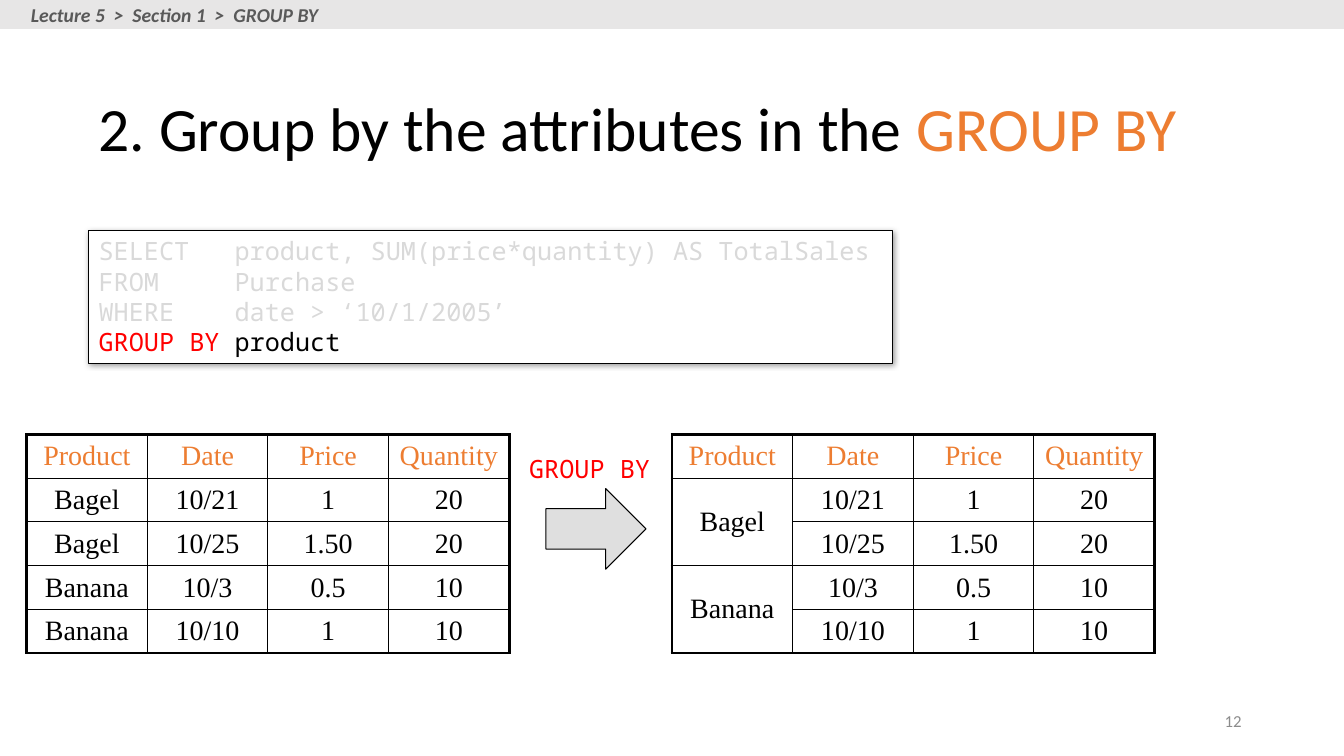
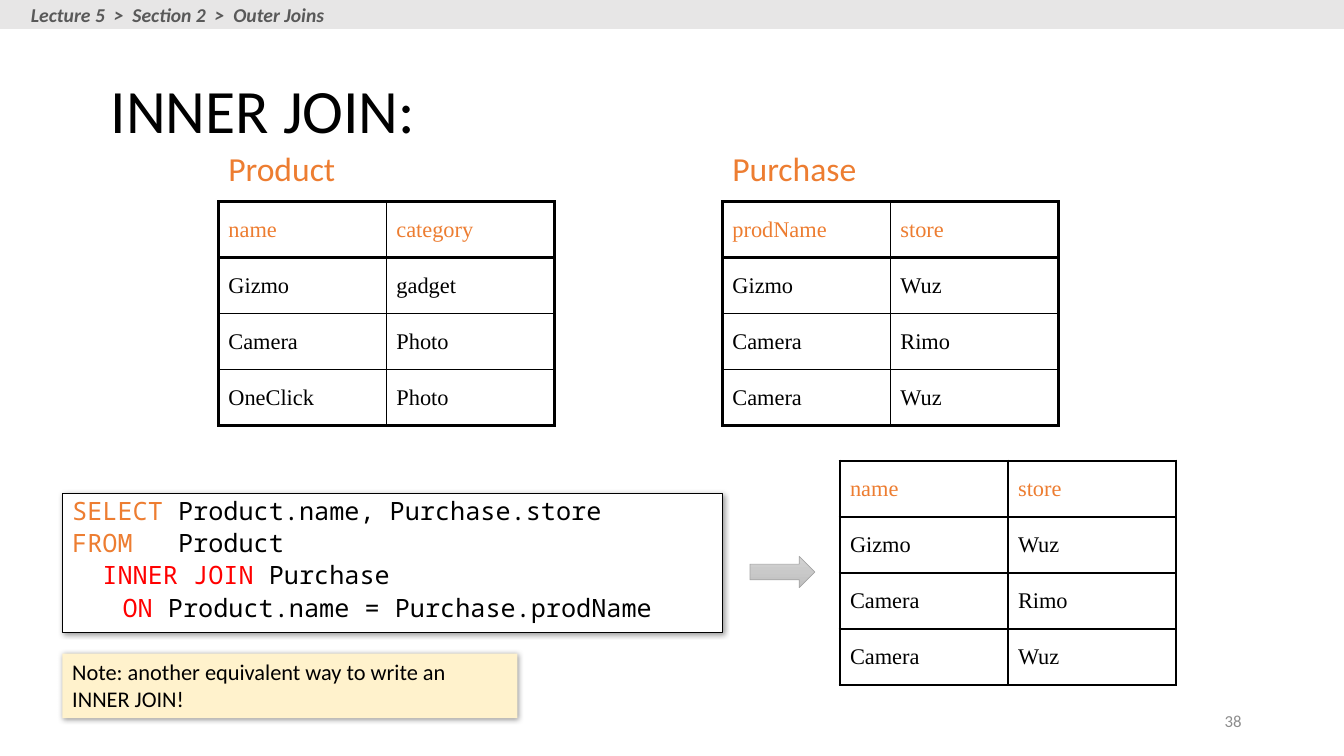
"""Build two lecture slides on SQL grouping and inner joins."""
from dataclasses import dataclass
from typing import Optional

from lxml.etree import SubElement
from pptx import Presentation
from pptx.dml.color import RGBColor
from pptx.enum.shapes import MSO_SHAPE as Preset
from pptx.enum.text import MSO_ANCHOR as Anchor, PP_ALIGN as Align
from pptx.oxml.ns import qn
from pptx.util import Pt


@dataclass(frozen=True)
class Theme:
    black: str = "000000"
    white: str = "FFFFFF"
    accent: str = "ED7D31"
    keyword: str = "FF0000"
    faded: str = "D9D9D9"
    band: str = "E7E6E6"
    crumb: str = "595959"
    number: str = "8C8C8C"
    note: str = "FFF2CC"
    arrow: str = "C0C0C0"
    arrow_light: str = "D2D2D2"
    arrow_line: str = "A5A5A5"
    sans: str = "Calibri"
    mono: str = "Noto Sans Mono"
    serif: str = "Times New Roman"
    title_size: float = 44
    label_size: float = 24
    code_size: float = 18
    note_size: float = 16
    crumb_size: float = 14
    number_size: float = 12
    thin: float = 1
    heavy: float = 2.25
    outline: float = 0.75


THEME = Theme()
WIDTH, HEIGHT = 960, 540


@dataclass(frozen=True)
class Area:
    left: float
    top: float
    width: float
    height: float

    def lengths(self) -> tuple:
        return Pt(self.left), Pt(self.top), Pt(self.width), Pt(self.height)


@dataclass(frozen=True)
class Span:
    text: str
    color: str = THEME.black


@dataclass(frozen=True)
class Style:
    font: str
    size: float
    bold: bool = False
    align: Align = Align.LEFT
    anchor: Anchor = Anchor.TOP
    wrap: bool = True
    line_spacing: Optional[float] = None
    space_before: float = 0


@dataclass(frozen=True)
class Grid:
    left: float
    top: float
    column_width: float
    row_height: float
    rows: tuple
    size: float = 16
    align: Align = Align.LEFT
    header_rule: float = THEME.heavy
    bottom_rule: float = THEME.heavy
    merges: tuple = ()


TITLE = Style(THEME.sans, THEME.title_size, anchor=Anchor.MIDDLE, line_spacing=0.9)
CRUMB = Style(THEME.sans, THEME.crumb_size, bold=True, wrap=False)
NUMBER = Style(THEME.sans, THEME.number_size, align=Align.RIGHT, anchor=Anchor.MIDDLE)
LABEL = Style(THEME.sans, THEME.label_size, wrap=False)
NOTE = Style(THEME.sans, THEME.note_size)
CODE = Style(THEME.mono, THEME.code_size)
CODE_LABEL = Style(THEME.mono, THEME.code_size, wrap=False)
SPACED_CODE = Style(THEME.mono, THEME.code_size, wrap=False, line_spacing=0.9, space_before=3.6)


def rgb(color: str) -> RGBColor:
    return RGBColor.from_string(color)


def write(shape, lines: tuple, style: Style) -> None:
    frame = shape.text_frame
    frame.word_wrap = style.wrap
    frame.vertical_anchor = style.anchor
    for index, spans in enumerate(lines):
        para = frame.add_paragraph() if index else frame.paragraphs[0]
        para.alignment = style.align
        if style.line_spacing:
            para.line_spacing = style.line_spacing
        if index and style.space_before:
            para.space_before = Pt(style.space_before)
        for span in spans:
            run = para.add_run()
            run.text = span.text
            run.font.name = style.font
            run.font.size = Pt(style.size)
            run.font.bold = run.font.italic = style.bold
            run.font.color.rgb = rgb(span.color)


def add_text(page, area: Area, lines: tuple, style: Style) -> None:
    write(page.shapes.add_textbox(*area.lengths()), lines, style)


def add_block(page, area: Area, fill: str, line: Optional[str] = None,
              preset: Preset = Preset.RECTANGLE, line_width: float = THEME.outline):
    shape = page.shapes.add_shape(preset, *area.lengths())
    shape.shadow.inherit = False
    shape.fill.solid()
    shape.fill.fore_color.rgb = rgb(fill)
    if line:
        shape.line.color.rgb = rgb(line)
        shape.line.width = Pt(line_width)
    else:
        shape.line.fill.background()
    return shape


def add_shadow(shape) -> None:
    effects = shape._element.spPr.find(qn("a:effectLst"))
    shadow = SubElement(effects, qn("a:outerShdw"), blurRad=str(Pt(4)), dist=str(Pt(1)),
                        dir="2700000", algn="tl", rotWithShape="0")
    color = SubElement(shadow, qn("a:srgbClr"), val=THEME.black)
    SubElement(color, qn("a:alpha"), val="40000")


def add_card(page, area: Area, lines: tuple, style: Style,
             fill: str = THEME.white, line: Optional[str] = THEME.black) -> None:
    card = add_block(page, area, fill, line)
    add_shadow(card)
    write(card, lines, style)


def set_borders(cell, widths: dict) -> None:
    properties = cell._tc.get_or_add_tcPr()
    for side in ("L", "R", "T", "B"):
        edge = SubElement(properties, qn(f"a:ln{side}"), w=str(Pt(widths[side])))
        fill = SubElement(edge, qn("a:solidFill"))
        SubElement(fill, qn("a:srgbClr"), val=THEME.black)


def add_grid(page, grid: Grid) -> None:
    row_count, column_count = len(grid.rows), len(grid.rows[0])
    area = Area(grid.left, grid.top, grid.column_width * column_count, grid.row_height * row_count)
    table = page.shapes.add_table(row_count, column_count, *area.lengths()).table
    table.first_row = table.horz_banding = False
    for first, last in grid.merges:
        table.cell(first, 0).merge(table.cell(last, 0))
    rules = [THEME.heavy, grid.header_rule] + [THEME.thin] * (row_count - 2) + [grid.bottom_rule]
    for row, values in enumerate(grid.rows):
        table.rows[row].height = Pt(grid.row_height)
        for column, value in enumerate(values):
            table.columns[column].width = Pt(grid.column_width)
            cell = table.cell(row, column)
            height = cell.span_height if cell.is_merge_origin else 1
            set_borders(cell, {
                "L": THEME.thin if column else THEME.heavy,
                "R": THEME.thin if column < column_count - 1 else THEME.heavy,
                "T": rules[row],
                "B": rules[row + height],
            })
            cell.fill.background()
            cell.vertical_anchor = Anchor.MIDDLE
            para = cell.text_frame.paragraphs[0]
            para.text = value
            para.alignment = grid.align
            for run in para.runs:
                run.font.name = THEME.serif
                run.font.size = Pt(grid.size)
                run.font.color.rgb = rgb(THEME.black if row else THEME.accent)


def add_page(deck, crumb: str, number: str, title: tuple, title_area: Area):
    page = deck.slides.add_slide(deck.slide_layouts[6])
    add_block(page, Area(0, 0, WIDTH, 20.7), THEME.band)
    add_text(page, Area(15, -1.5, 226, 24.2), ((Span(crumb, THEME.crumb),),), CRUMB)
    add_text(page, title_area, (title,), TITLE)
    add_text(page, Area(678, 500.5, 216, 28.8), ((Span(number, THEME.number),),), NUMBER)
    return page


def build_grouping(deck) -> None:
    page = add_page(deck, "Lecture 5  >  Section 1  >  GROUP BY", "12",
                    (Span("2. Group by the attributes in the "), Span("GROUP BY", THEME.accent)),
                    Area(63.3, 49, 791, 90))
    faded = ("SELECT   product, SUM(price*quantity) AS TotalSales",
             "FROM     Purchase", "WHERE    date > ‘10/1/2005’")
    query = tuple((Span(text, THEME.faded),) for text in faded)
    query += ((Span("GROUP BY ", THEME.keyword), Span("product")),)
    add_card(page, Area(63.3, 164.9, 574, 94.5), query, CODE)

    header = ("Product", "Date", "Price", "Quantity")
    sales = (("Bagel", "10/21", "1", "20"), ("Bagel", "10/25", "1.50", "20"),
             ("Banana", "10/3", "0.5", "10"), ("Banana", "10/10", "1", "10"))
    grouped = tuple(("" if index % 2 else row[0], *row[1:]) for index, row in enumerate(sales))
    add_grid(page, Grid(19, 310.3, 86.2, 30.4, (header, *sales), 20, Align.CENTER, THEME.thin))
    add_grid(page, Grid(480, 310.3, 86.2, 31.2, (header, *grouped), 20, Align.CENTER,
                        THEME.thin, merges=((1, 2), (3, 4))))

    add_text(page, Area(370.8, 320.6, 102.2, 29), ((Span("GROUP BY", THEME.keyword),),), CODE_LABEL)
    arrow = add_block(page, Area(390, 349, 71.5, 57.6), THEME.arrow, THEME.black, Preset.RIGHT_ARROW)
    color = arrow._element.spPr.find(qn("a:solidFill")).find(qn("a:srgbClr"))
    SubElement(color, qn("a:alpha"), val="50000")


def build_inner_join(deck) -> None:
    page = add_page(deck, "Lecture 5  >  Section 2  >  Outer Joins", "38",
                    (Span("INNER JOIN:"),), Area(72, 36, 648, 90))
    stores = (("Gizmo", "Wuz"), ("Camera", "Rimo"), ("Camera", "Wuz"))
    products = (("name", "category"), ("Gizmo", "gadget"), ("Camera", "Photo"), ("OneClick", "Photo"))
    sources = (("Product", 156, 91.4, products),
               ("Purchase", 516, 104.4, (("prodName", "store"), *stores)))
    for name, left, width, rows in sources:
        add_text(page, Area(left, 102.2, width, 36), ((Span(name, THEME.accent),),), LABEL)
        add_grid(page, Grid(left, 144, 120, 40, rows))
    add_grid(page, Grid(600, 329.3, 120, 40, (("name", "store"), *stores), bottom_rule=THEME.thin))

    query = (
        (Span("SELECT ", THEME.accent), Span("Product.name, Purchase.store")),
        (Span("FROM", THEME.accent), Span("   Product")),
        (Span("  INNER JOIN ", THEME.keyword), Span("Purchase")),
        (Span("\tON ", THEME.keyword), Span("Product.name = Purchase.prodName")),
    )
    add_card(page, Area(44.5, 352.5, 471.6, 99), query, SPACED_CODE)
    add_card(page, Area(44.5, 466.9, 325, 46),
             ((Span("Note: another equivalent way to write an INNER JOIN!"),),),
             NOTE, THEME.note, None)
    arrow = add_block(page, Area(535.7, 397.4, 46.4, 22.4), THEME.arrow, THEME.arrow_line,
                      Preset.RIGHT_ARROW, 0.5)
    arrow.fill.gradient()
    arrow.fill.gradient_angle = 270
    for stop, shade in zip(arrow.fill.gradient_stops, (THEME.arrow_light, THEME.arrow)):
        stop.color.rgb = rgb(shade)


def main() -> None:
    deck = Presentation()
    deck.slide_width, deck.slide_height = Pt(WIDTH), Pt(HEIGHT)
    build_grouping(deck)
    build_inner_join(deck)
    deck.save("out.pptx")


if __name__ == "__main__":
    main()
